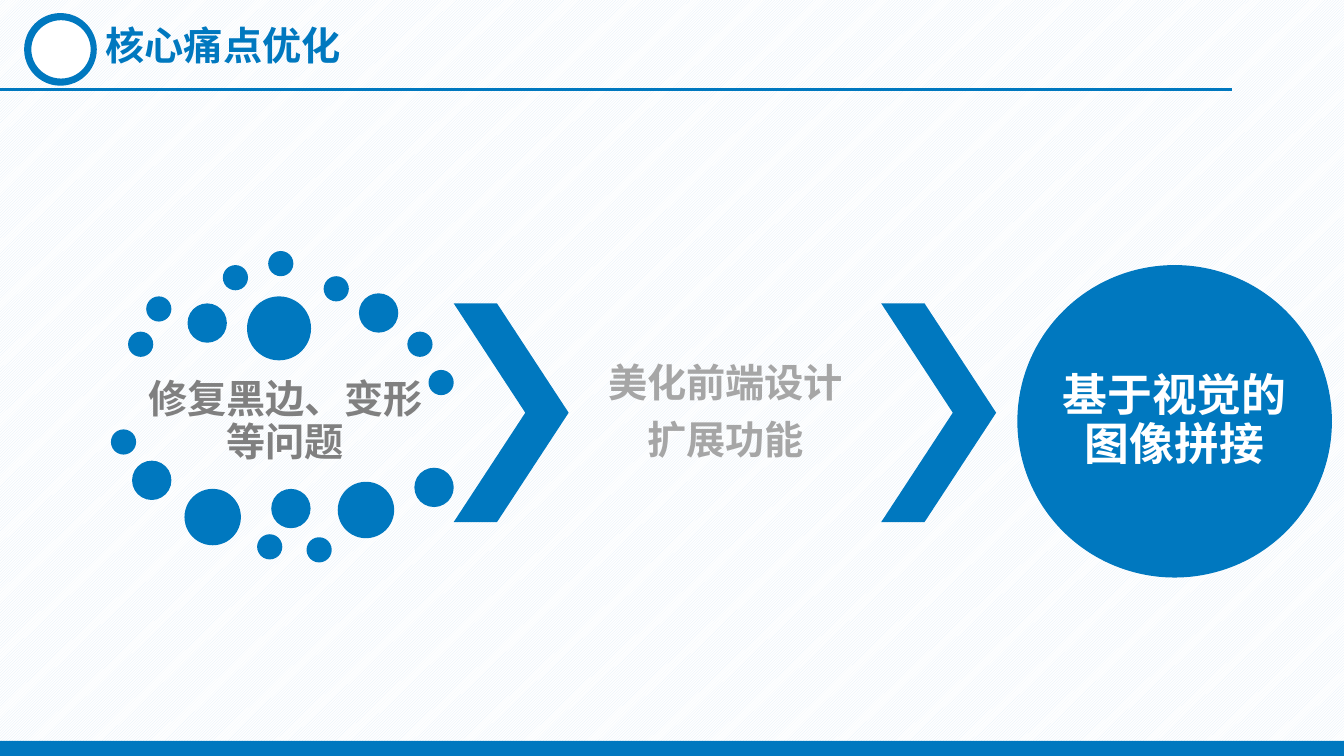
"""Build the slide on core pain point optimisation."""
from dataclasses import dataclass

from lxml import etree
from pptx import Presentation
from pptx.dml.color import RGBColor
from pptx.enum.dml import MSO_PATTERN
from pptx.enum.shapes import MSO_CONNECTOR, MSO_SHAPE
from pptx.enum.text import MSO_ANCHOR, PP_ALIGN
from pptx.oxml.ns import qn
from pptx.util import Inches, Pt

OVAL = MSO_SHAPE.OVAL
CHEVRON = MSO_SHAPE.CHEVRON
RECTANGLE = MSO_SHAPE.RECTANGLE
STRAIGHT = MSO_CONNECTOR.STRAIGHT
DIAGONAL = MSO_PATTERN.LIGHT_UPWARD_DIAGONAL
TOP, MIDDLE = MSO_ANCHOR.TOP, MSO_ANCHOR.MIDDLE
LEFT, CENTER = PP_ALIGN.LEFT, PP_ALIGN.CENTER

BLUE, WHITE, PALE = "0078BF", "FFFFFF", "DEEBF7"
SANS_SC, SANS_JP = "Noto Sans CJK SC", "Noto Sans CJK JP"
WIDTH, HEIGHT = 13.33, 7.5
FOOTER_HEIGHT = 0.15
SMALL, MEDIUM, LARGE, LARGEST = 0.25, 0.39, 0.56, 0.635


@dataclass
class Figure:
    kind: int
    left: float
    top: float
    width: float
    height: float
    fill: str = BLUE
    outline: float = 0


@dataclass
class Label:
    lines: list[str]
    left: float
    top: float
    width: float
    height: float
    color: str
    size: int = 28
    font: str = SANS_SC
    anchor: int = MIDDLE
    align: int = CENTER
    margin_x: float = 0.03
    margin_y: float = 0.03
    line_spacing: float = 0.9
    space_after: float = 10


DOTS = {
    SMALL: [(1.27, 3.29), (1.45, 2.94), (2.21, 2.63), (2.66, 2.49), (3.21, 2.74),
            (4.04, 3.29), (4.25, 3.67), (1.1, 4.26), (2.55, 5.3), (3.04, 5.33)],
    MEDIUM: [(1.86, 3.01), (3.56, 2.91), (1.31, 4.57), (2.69, 4.85), (4.11, 4.64)],
    LARGE: [(1.83, 4.85), (3.35, 4.78)],
    LARGEST: [(2.45, 2.94)],
}

FIGURES = [
    Figure(RECTANGLE, 0, HEIGHT - FOOTER_HEIGHT, WIDTH, FOOTER_HEIGHT),
    Figure(OVAL, 0.25, 0.14, 0.7, 0.7, outline=1.5),
    Figure(OVAL, 0.3, 0.19, 0.61, 0.6, WHITE, 1.5),
    *(Figure(OVAL, left, top, size, size)
      for size, places in DOTS.items() for left, top in places),
    *(Figure(CHEVRON, left, 3.01, 1.14, 2.17) for left in (4.5, 8.74)),
    Figure(OVAL, 10.09, 2.63, 3.12, 3.1),
]

LABELS = [
    Label(["核心痛点优化"], 0.95, 0.16, 4.97, 0.57, BLUE, anchor=TOP, align=LEFT,
          margin_x=0.1, margin_y=0.05, line_spacing=1, space_after=0),
    Label(["修复黑边、变形等问题"], 1.28, 3.68, 3.1, 1.02, "808080"),
    Label(["美化前端设计", "扩展功能"], 5.64, 3.01, 3.11, 2.18, "A6A6A6"),
    Label(["基于视觉的图像拼接"], 10.09, 2.63, 3.12, 3.1, WHITE, 32, SANS_JP,
          margin_x=0.39, margin_y=0.39),
]


def rgb(value: str) -> RGBColor:
    return RGBColor.from_string(value)


def apply(target, values: dict) -> None:
    for name, value in values.items():
        setattr(target, name, value)


def draw_figure(slide, figure: Figure) -> None:
    shape = slide.shapes.add_shape(
        figure.kind, Inches(figure.left), Inches(figure.top),
        Inches(figure.width), Inches(figure.height))
    shape.shadow.inherit = False
    shape.fill.solid()
    shape.fill.fore_color.rgb = rgb(figure.fill)
    if figure.kind == CHEVRON:
        shape.adjustments[0] = 0.623
    if figure.outline:
        shape.line.color.rgb = rgb(BLUE)
        shape.line.width = Pt(figure.outline)
    else:
        shape.line.fill.background()


def draw_label(slide, label: Label) -> None:
    box = slide.shapes.add_textbox(
        Inches(label.left), Inches(label.top), Inches(label.width), Inches(label.height))
    frame = box.text_frame
    apply(frame, {
        "word_wrap": True, "vertical_anchor": label.anchor,
        "margin_left": Inches(label.margin_x), "margin_right": Inches(label.margin_x),
        "margin_top": Inches(label.margin_y), "margin_bottom": Inches(label.margin_y),
    })
    for index, line in enumerate(label.lines):
        paragraph = frame.add_paragraph() if index else frame.paragraphs[0]
        apply(paragraph, {
            "alignment": label.align, "line_spacing": label.line_spacing,
            "space_after": Pt(label.space_after),
        })
        run = paragraph.add_run()
        run.text = line
        apply(run.font, {"name": label.font, "size": Pt(label.size), "bold": True})
        run.font.color.rgb = rgb(label.color)
        east_asian = etree.SubElement(run.font._element, qn("a:ea"))
        east_asian.set("typeface", label.font)


def draw_title_rule(slide) -> None:
    rule = slide.shapes.add_connector(
        STRAIGHT, Inches(0), Inches(0.89), Inches(12.22), Inches(0.89))
    rule.line.color.rgb = rgb(BLUE)
    rule.line.width = Pt(2)
    etree.SubElement(rule._element.spPr, qn("a:effectLst"))


def main() -> None:
    presentation = Presentation()
    presentation.slide_width = Inches(WIDTH)
    presentation.slide_height = Inches(HEIGHT)
    slide = presentation.slides.add_slide(presentation.slide_layouts[6])
    backdrop = slide.background.fill
    backdrop.patterned()
    backdrop.pattern = DIAGONAL
    backdrop.fore_color.rgb = rgb(PALE)
    backdrop.back_color.rgb = rgb(WHITE)
    draw_title_rule(slide)
    for figure in FIGURES:
        draw_figure(slide, figure)
    for label in LABELS:
        draw_label(slide, label)
    presentation.save("out.pptx")


if __name__ == "__main__":
    main()
